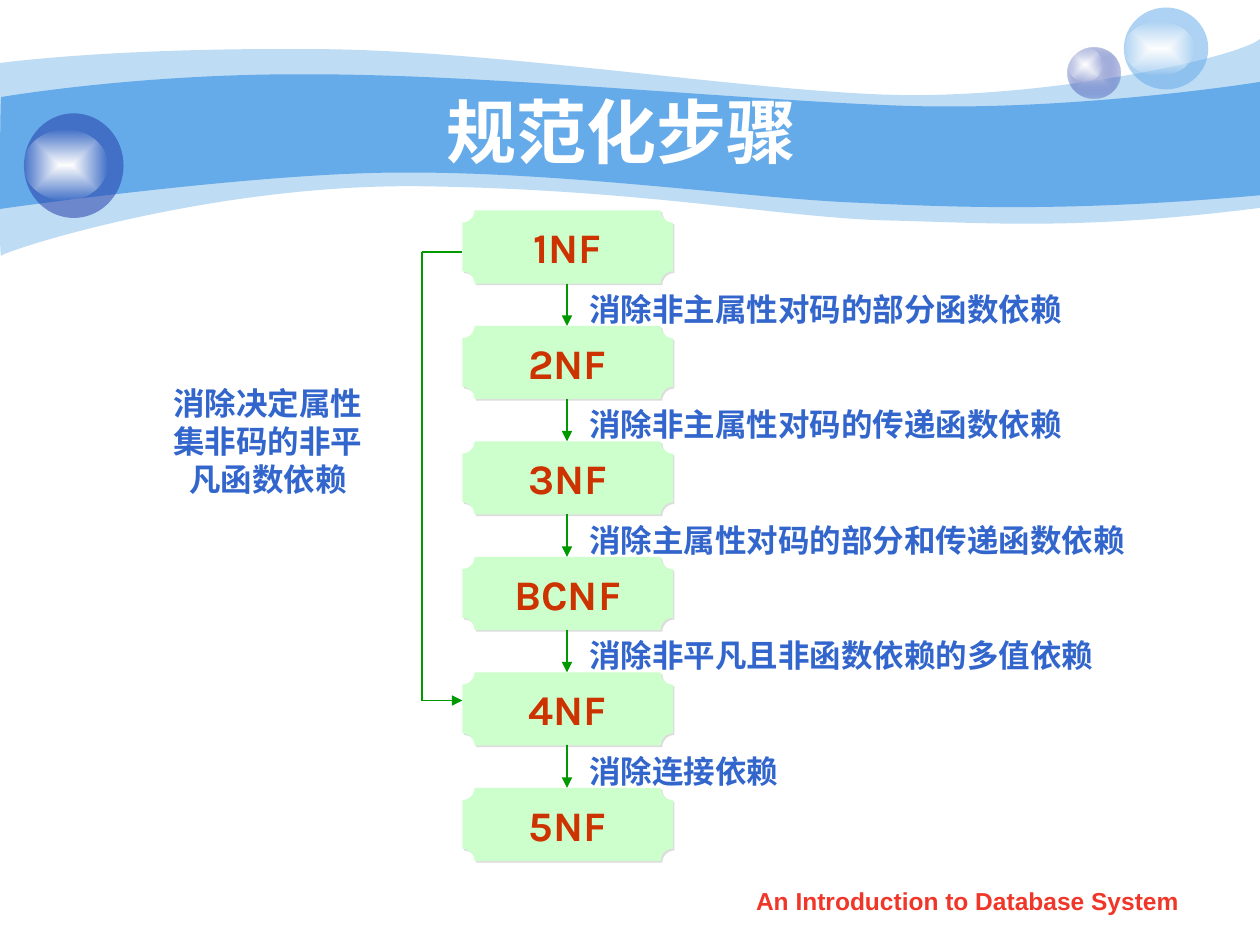
from dataclasses import dataclass
from typing import Any, Optional

from lxml import etree
from pptx import Presentation
from pptx import util as u
from pptx.dml.color import RGBColor
from pptx.enum import shapes, text
from pptx.oxml import parse_xml
from pptx.oxml.ns import nsdecls, qn

HUES = {"blue": "65AAE9", "navy": "233DA9", "haze": "C6CCE8", "white": "FFFFFF",
        "glint": "FEFEFE", "mint": "CCFFCC", "shade": "DDDDDD", "rust": "CC3300",
        "label": "3366CC", "green": "009900", "red": "F03628"}
MID, LEFT = text.PP_ALIGN.CENTER, text.PP_ALIGN.LEFT


@dataclass
class Ball:
    box: tuple
    shine: tuple
    hue: str
    alpha: int
    core: Optional[str] = None


@dataclass
class Step:
    name: str
    rule: Optional[str] = None
    width: float = 0


def unit(n: float) -> u.Length:
    """Length on a grid of 2.54 cm squares."""
    return u.Cm(2.54 * n)


def place(box: tuple) -> list:
    return [unit(n) for n in box]


def color(hue: str) -> RGBColor:
    return RGBColor.from_string(HUES[hue])


# Fills
def fill(shape: Any, hue: str, alpha: int = 100) -> None:
    shape.shadow.inherit = False
    shape.line.fill.background()
    shape.fill.solid()
    shape.fill.fore_color.rgb = color(hue)
    if alpha < 100:
        tint = shape.element.spPr.find(qn("a:solidFill"))[0]
        etree.SubElement(tint, qn("a:alpha"), val=str(alpha * 1000))


def glow(shape: Any, core: str, rim: str, alpha: int) -> None:
    fill(shape, core)
    props = shape.element.spPr
    grad = parse_xml(
        f'<a:gradFill {nsdecls("a")} rotWithShape="1"><a:gsLst>'
        f'<a:gs pos="0"><a:srgbClr val="{HUES[core]}"/></a:gs>'
        f'<a:gs pos="100000"><a:srgbClr val="{HUES[rim]}">'
        f'<a:alpha val="{alpha * 1000}"/></a:srgbClr></a:gs></a:gsLst>'
        '<a:path path="rect"><a:fillToRect l="50000" t="50000" r="50000" b="50000"/>'
        '</a:path></a:gradFill>')
    props.replace(props.find(qn("a:solidFill")), grad)


# Shapes
def band(slide: Any, start: tuple, parts: list, alpha: int) -> None:
    """Outline whose parts are lines (one point) or cubic curves (three)."""
    path = slide.shapes.build_freeform(*place(start))
    path.add_line_segments([place(part[-1]) for part in parts], close=True)
    shape = path.convert_to_shape()
    fill(shape, "blue", alpha)
    for edge, part in zip(list(shape.element.iter(qn("a:lnTo"))), parts):
        if len(part) == 3:
            edge.clear()
            curve = etree.Element(qn("a:cubicBezTo"))
            for x, y in map(place, part):
                etree.SubElement(curve, qn("a:pt"), x=str(x - shape.left),
                                 y=str(y - shape.top))
            edge.getparent().replace(edge, curve)


def ball(slide: Any, item: Ball) -> None:
    group = slide.shapes.add_group_shape()
    oval = shapes.MSO_SHAPE.OVAL
    disc = group.shapes.add_shape(oval, *place(item.box))
    if item.core:
        glow(disc, item.core, item.hue, item.alpha)
    else:
        fill(disc, item.hue, item.alpha)
    glow(group.shapes.add_shape(oval, *place(item.shine)), "white", "glint", 0)


def line(owner: Any, start: tuple, end: tuple, arrow: bool = True) -> None:
    link = owner.shapes.add_connector(
        shapes.MSO_CONNECTOR.STRAIGHT, *place(start), *place(end))
    link.line.color.rgb = color("green")
    link.line.width = u.Pt(0.75)
    props = link.element.spPr
    if arrow:
        etree.SubElement(props.find(qn("a:ln")), qn("a:tailEnd"), type="triangle")
    etree.SubElement(props, qn("a:effectLst"))


# Text
def write(shape: Any, words: str, size: int, face: str, hue: str, align: Any = MID,
          anchor: Any = text.MSO_ANCHOR.TOP, wrap: bool = True) -> None:
    frame = shape.text_frame
    frame.text = words
    part = frame.paragraphs[0]
    part.alignment = align
    look = {"size": u.Pt(size), "name": face, "bold": True}
    form = {"word_wrap": wrap, "vertical_anchor": anchor,
            "auto_size": text.MSO_AUTO_SIZE.NONE}
    for thing, values in ((part.runs[0].font, look), (frame, form)):
        for key, value in values.items():
            setattr(thing, key, value)
    part.runs[0].font.color.rgb = color(hue)


def note(slide: Any, box: tuple, *style: Any) -> None:
    write(slide.shapes.add_textbox(*place(box)), *style)


def plaque(slide: Any, box: tuple, name: str) -> None:
    shape = slide.shapes.add_shape(shapes.MSO_SHAPE.PLAQUE, *place(box))
    fill(shape, "mint")
    cast = etree.SubElement(shape.element.spPr.find(qn("a:effectLst")),
                            qn("a:outerShdw"), dist=str(u.Pt(1.4)), dir="2700000",
                            algn="ctr", rotWithShape="0")
    etree.SubElement(cast, qn("a:srgbClr"), val=HUES["shade"])
    write(shape, name, 24, "Karla", "rust", MID, text.MSO_ANCHOR.MIDDLE, False)


# Content
PALE = [((0.24, 0.47), (1.07, 0.38), (2.47, 0.39)),
        ((3.86, 0.39), (5.75, 0.7), (6.99, 0.75)),
        ((8.22, 0.8), (9.8, 0.47), (10, 0.31)),
        ((10, 1.65),),
        ((8.58, 1.83), (7.87, 1.77), (7.05, 1.75)),
        ((6.22, 1.73), (5.15, 1.51), (3.43, 1.48)),
        ((1.72, 1.44), (0.04, 1.99), (0.01, 2.03)),
        ((-0.01, 2.08), (0, 0.75), (0, 0.5))]
DEEP = [((0.02, 0.77), (1.1, 0.58), (2.48, 0.59)),
        ((3.86, 0.59), (5.95, 0.8), (7.18, 0.84)),
        ((8.41, 0.88), (9.76, 0.69), (10, 0.65)),
        ((10, 1.55),),
        ((8.53, 1.68), (7.65, 1.65), (6.82, 1.61)),
        ((5.99, 1.58), (4.47, 1.36), (3.17, 1.37)),
        ((2.03, 1.37), (-0.02, 1.66), (-0.01, 1.66)),
        ((0, 1.66), (0, 0.77), (0.01, 0.77))]
BALLS = [Ball((8.47, 0.38, 0.42, 0.4), (8.47, 0.38, 0.28, 0.27), "navy", 31, "haze"),
         Ball((8.92, 0.06, 0.67, 0.65), (8.92, 0.17, 0.56, 0.43), "blue", 53),
         Ball((0.19, 0.9, 0.79, 0.83), (0.19, 1.03, 0.66, 0.56), "navy", 53)]
STEPS = [Step("1NF", "消除非主属性对码的部分函数依赖", 4.2),
         Step("2NF", "消除非主属性对码的传递函数依赖", 4.35),
         Step("3NF", "消除主属性对码的部分和传递函数依赖", 4.63),
         Step("BCNF", "消除非平凡且非函数依赖的多值依赖", 4.63),
         Step("4NF", "消除连接依赖", 4.63),
         Step("5NF")]


def main() -> None:
    deck = Presentation()
    deck.slide_width, deck.slide_height = unit(10), unit(7.5)
    slide = deck.slides.add_slide(deck.slide_layouts[5])

    # Banner and title
    band(slide, (0, 0.5), PALE, 41)
    band(slide, (0.01, 0.77), DEEP, 100)
    for item in BALLS:
        ball(slide, item)
    title = slide.shapes.title
    title.left, title.top, title.width, title.height = place((0.67, 0.5, 8.52, 0.92))
    write(title, "规范化步骤", 40, "Times New Roman", "white", MID, text.MSO_ANCHOR.BOTTOM)
    slide.shapes.element.append(title.element)

    # Chain of normal forms
    left, top, wide, high, pitch = 3.67, 1.67, 1.67, 0.58, 5.5 / 6
    for i, step in enumerate(STEPS):
        y = top + i * pitch
        plaque(slide, (left, y, wide, high), step.name)
        if step.rule:
            line(slide, (4.5, y + high), (4.5, y + pitch))
            note(slide, (4.58, y + high, step.width, 0.4), step.rule,
                 18, "Karla", "label", LEFT)

    # Bypass from 1NF to 4NF
    side, first, last = 3.35, 2, 5.56
    group = slide.shapes.add_group_shape()
    line(group, (side, last), (left, last))
    line(group, (side, last), (side, first), False)
    line(group, (side, first), (left, first), False)
    note(slide, (1.22, 3, 1.81, 1), "消除决定属性集非码的非平凡函数依赖",
         18, "Karla", "label")

    # Footer
    note(slide, (5.71, 6.98, 3.94, 0.35), "An Introduction to Database System",
         14, "Arial", "red")
    deck.save("out.pptx")


if __name__ == "__main__":
    main()
